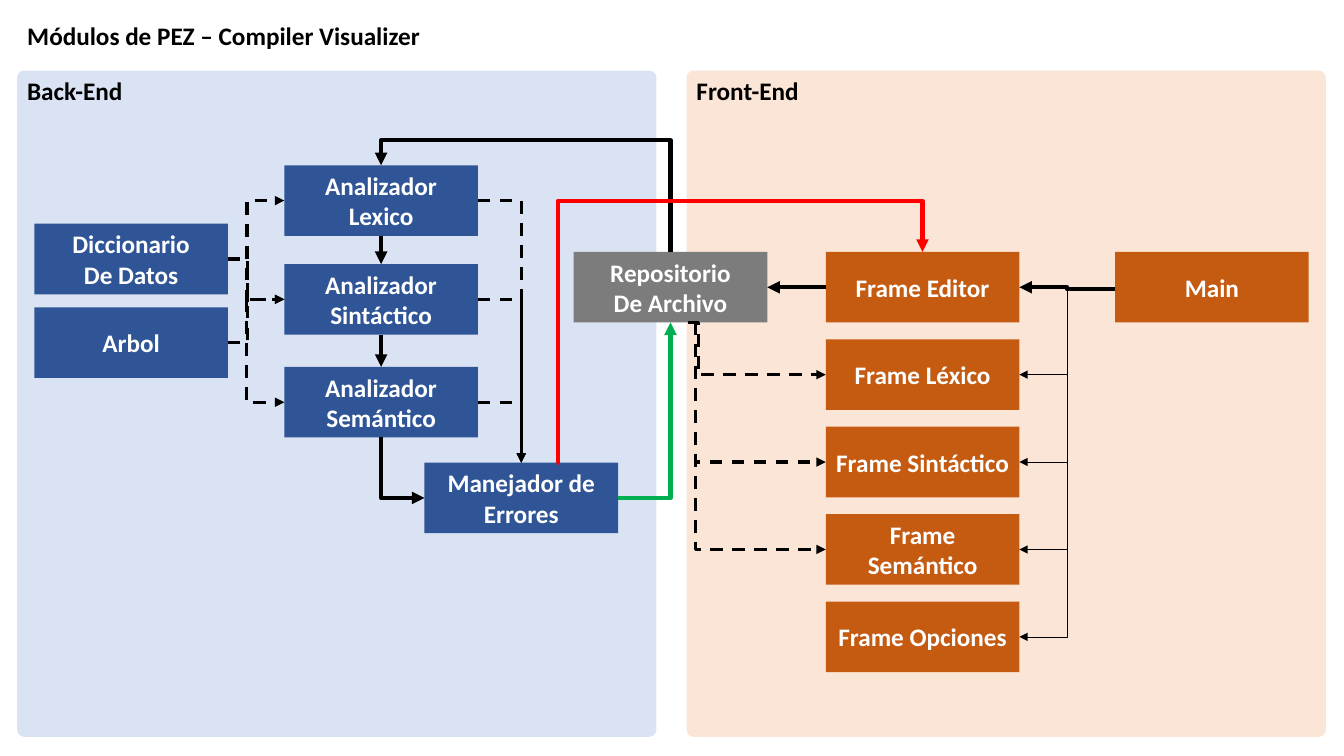
from lxml import etree
from pptx import Presentation
from pptx import util as u
from pptx.dml.color import RGBColor
from pptx.enum import dml, shapes, text
from pptx.oxml.ns import qn

BLACK = RGBColor(0x00, 0x00, 0x00)
WHITE = RGBColor(0xFF, 0xFF, 0xFF)
RED = RGBColor(0xFF, 0x00, 0x00)
GREEN = RGBColor(0x00, 0xB0, 0x50)
GREY = RGBColor(0x7C, 0x7C, 0x7C)
BLUE = RGBColor(0x2F, 0x55, 0x97)
PALE_BLUE = RGBColor(0xDA, 0xE3, 0xF3)
ORANGE = RGBColor(0xC5, 0x5A, 0x11)
PALE_ORANGE = RGBColor(0xFB, 0xE5, 0xD6)

NODE_W, NODE_H = u.Inches(1.92), u.Inches(0.7)
PANEL_W, PANEL_H = u.Inches(6.34), u.Inches(6.61)
TOP, LEFT, BOTTOM, RIGHT = range(4)


def write(tf, lines, color, align):
    """Write bold 18 pt paragraphs into a text frame."""
    for i, line in enumerate(lines):
        p = tf.paragraphs[0] if i == 0 else tf.add_paragraph()
        p.text = line
        p.alignment = align
        p.font.name = "Calibri"
        p.font.size = u.Pt(18)
        p.font.bold = True
        p.font.color.rgb = color


def add_block(slide, kind, box, fill):
    """Add a flat filled shape without outline or shadow."""
    sp = slide.shapes.add_shape(kind, *box)
    sp.shadow.inherit = False
    sp.fill.solid()
    sp.fill.fore_color.rgb = fill
    sp.line.fill.background()
    return sp


def add_node(slide, x, y, lines, fill):
    """Add one module box."""
    sp = add_block(slide, shapes.MSO_SHAPE.RECTANGLE, (x, y, NODE_W, NODE_H), fill)
    sp.text_frame.word_wrap = True
    sp.text_frame.vertical_anchor = text.MSO_ANCHOR.MIDDLE
    write(sp.text_frame, lines, WHITE, text.PP_ALIGN.CENTER)
    return sp


def add_panel(slide, x, y, name, fill):
    """Add a rounded background panel with its heading."""
    sp = add_block(slide, shapes.MSO_SHAPE.ROUNDED_RECTANGLE, (x, y, PANEL_W, PANEL_H), fill)
    sp.adjustments[0] = 0.011
    tb = slide.shapes.add_textbox(x, y, u.Inches(1.23), u.Inches(0.4))
    tb.text_frame.word_wrap = False
    write(tb.text_frame, [name], BLACK, text.PP_ALIGN.LEFT)


def add_title(slide, x, y):
    """Place the slide title at the given corner."""
    sp = slide.shapes.title
    sp.left, sp.top, sp.width, sp.height = x, y, u.Inches(4.13), u.Inches(0.4)
    tf = sp.text_frame
    tf.word_wrap = False
    tf.auto_size = text.MSO_AUTO_SIZE.NONE
    tf.vertical_anchor = text.MSO_ANCHOR.TOP
    write(tf, ["Módulos de PEZ – Compiler Visualizer"], BLACK, text.PP_ALIGN.LEFT)


def add_back_end(slide, x, y):
    """Build the back-end panel and return its modules."""
    add_panel(slide, x, y, "Back-End", PALE_BLUE)
    modules = {
        "lexer": (2.65, 0.94, ["Analizador", "Lexico"]),
        "parser": (2.65, 1.92, ["Analizador", "Sintáctico"]),
        "semantic": (2.65, 2.94, ["Analizador", "Semántico"]),
        "dictionary": (0.17, 1.52, ["Diccionario", "De Datos"]),
        "tree": (0.17, 2.35, ["Arbol"]),
        "errors": (4.04, 3.89, ["Manejador de Errores"]),
    }
    return {key: add_node(slide, x + u.Inches(dx), y + u.Inches(dy), lines, BLUE)
            for key, (dx, dy, lines) in modules.items()}


def add_front_end(slide, x, y):
    """Build the front-end panel and return the main module and the frames."""
    add_panel(slide, x, y, "Front-End", PALE_ORANGE)
    names = ["Editor", "Léxico", "Sintáctico", "Semántico", "Opciones"]
    frames = [add_node(slide, x + u.Inches(1.38), y + u.Inches(1.8 + 0.867 * i),
                       [f"Frame {name}"], ORANGE) for i, name in enumerate(names)]
    return add_node(slide, x + u.Inches(4.25), y + u.Inches(1.8), ["Main"], ORANGE), frames


def port(sp, side, dx=0, dy=0):
    """Return the middle of a side, shifted by inches."""
    fx, fy = [(0.5, 0), (0, 0.5), (0.5, 1), (1, 0.5)][side]
    return (sp.left + int(sp.width * fx) + u.Inches(dx),
            sp.top + int(sp.height * fy) + u.Inches(dy))


def style_arrow(cxn, width, color, dashed):
    """Format a connector as a flat line with an arrowhead at its end."""
    cxn.line.width = u.Pt(width)
    cxn.line.color.rgb = color
    if dashed:
        cxn.line.dash_style = dml.MSO_LINE.DASH
    etree.SubElement(cxn.line._get_or_add_ln(), qn("a:tailEnd"), type="triangle")
    etree.SubElement(cxn._element.spPr, qn("a:effectLst"))


def straight(slide, source, side, target, target_side):
    """Join two modules with a straight arrow."""
    cxn = slide.shapes.add_connector(shapes.MSO_CONNECTOR.STRAIGHT,
                                     *port(source, side), *port(target, target_side))
    cxn.begin_connect(source, side)
    cxn.end_connect(target, target_side)
    style_arrow(cxn, 3, BLACK, False)


def elbow(slide, start, end, segments, adjust=(), vertical=False,
          width=3, color=BLACK, dashed=False):
    """Draw a bent arrow that leaves its start sideways or vertically."""
    (x1, y1), (x2, y2) = start, end
    if vertical:
        cx, cy, dx, dy = (x1 + x2) // 2, (y1 + y2) // 2, (x2 - x1) // 2, (y2 - y1) // 2
        x1, y1, x2, y2 = cx + dy, cy - dx, cx - dy, cy + dx
    cxn = slide.shapes.add_connector(shapes.MSO_CONNECTOR.ELBOW, x1, y1, x2, y2)
    spPr = cxn._element.spPr
    if vertical:
        spPr.find(qn("a:xfrm")).set("rot", str(270 * 60000))
    geom = spPr.find(qn("a:prstGeom"))
    geom.set("prst", f"bentConnector{segments}")
    for i, value in enumerate(adjust, 1):
        etree.SubElement(geom.find(qn("a:avLst")), qn("a:gd"),
                         name=f"adj{i}", fmla=f"val {round(value * 100000)}")
    style_arrow(cxn, width, color, dashed)


def link_back_end(slide, back):
    """Connect the back-end modules with each other."""
    lexer, parser, semantic = (back[k] for k in ("lexer", "parser", "semantic"))
    dictionary, tree, errors = (back[k] for k in ("dictionary", "tree", "errors"))
    dash = {"width": 2.25, "dashed": True}
    straight(slide, lexer, BOTTOM, parser, TOP)
    straight(slide, parser, BOTTOM, semantic, TOP)
    elbow(slide, port(semantic, BOTTOM), port(errors, LEFT), 2, vertical=True)
    for source in (dictionary, tree):
        elbow(slide, port(source, RIGHT), port(parser, LEFT), 3, [0.35], **dash)
    elbow(slide, port(parser, LEFT, -0.37, 0.03), port(lexer, LEFT), 2, vertical=True, **dash)
    elbow(slide, port(parser, LEFT, -0.38), port(semantic, LEFT), 2, vertical=True, **dash)
    for source in (lexer, parser, semantic):
        elbow(slide, port(source, RIGHT), port(errors, TOP), 2, **dash)


def link_front_end(slide, main_module, frames, archive):
    """Connect the main module and the archive with the frames."""
    dash = {"width": 2.25, "dashed": True}
    editor, lexical, *others = frames
    elbow(slide, port(main_module, LEFT, 0, 0.02), port(editor, RIGHT), 3)
    for frame in frames[1:]:
        elbow(slide, port(main_module, LEFT), port(frame, RIGHT), 3, width=0.5)
    straight(slide, editor, LEFT, archive, RIGHT)
    elbow(slide, port(archive, BOTTOM, 0.17), port(lexical, LEFT), 3, [0.076], **dash)
    for frame in others[:2]:
        elbow(slide, port(archive, BOTTOM, 0.25), port(frame, LEFT), 2, vertical=True, **dash)


def main():
    """Build the module diagram slide."""
    prs = Presentation()
    prs.slide_width, prs.slide_height = u.Inches(13.33), u.Inches(7.5)
    slide = prs.slides.add_slide(prs.slide_layouts[5])
    add_title(slide, u.Inches(0.17), u.Inches(0.15))
    main_module, frames = add_front_end(slide, u.Inches(6.81), u.Inches(0.7))
    back = add_back_end(slide, u.Inches(0.17), u.Inches(0.7))
    archive = add_node(slide, u.Inches(5.69), u.Inches(2.5), ["Repositorio", "De Archivo"], GREY)
    link_front_end(slide, main_module, frames, archive)
    link_back_end(slide, back)
    elbow(slide, port(archive, TOP), port(back["lexer"], TOP), 3, [1.288], vertical=True)
    elbow(slide, port(back["errors"], RIGHT), port(archive, BOTTOM), 2, color=GREEN)
    elbow(slide, port(back["errors"], TOP, 0.35), port(frames[0], TOP), 4,
          [0.004, 1.243], color=RED)
    prs.save("out.pptx")


if __name__ == "__main__":
    main()
